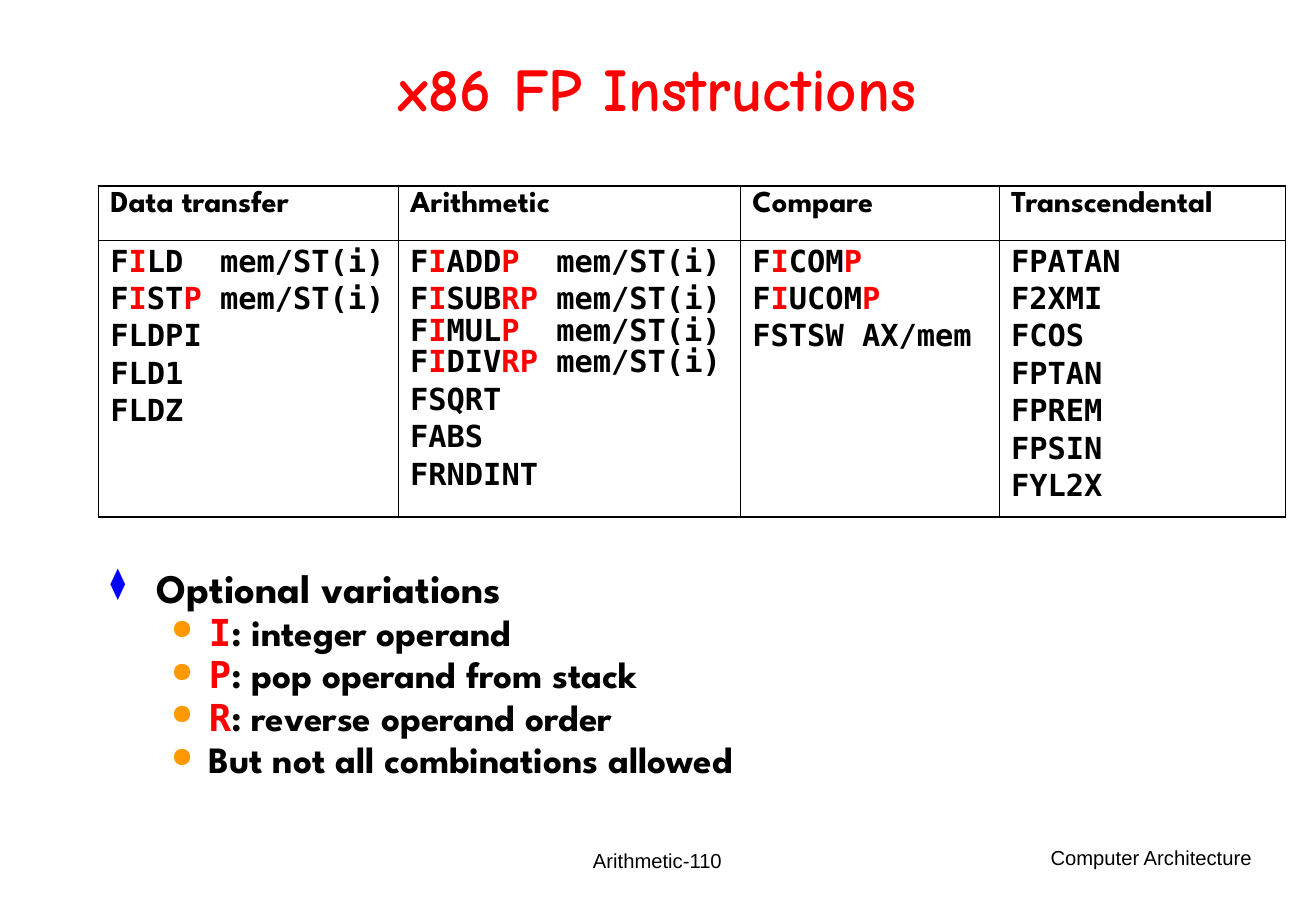
from lxml import etree
from pptx import Presentation
from pptx.dml.color import RGBColor
from pptx.enum.text import MSO_ANCHOR, PP_ALIGN
from pptx.oxml.ns import qn
from pptx.util import Cm, Pt

TOP, MIDDLE = MSO_ANCHOR.TOP, MSO_ANCHOR.MIDDLE
LEFT, CENTER, RIGHT = PP_ALIGN.LEFT, PP_ALIGN.CENTER, PP_ALIGN.RIGHT

BLACK, RED, BLUE, ORANGE = "000000", "FF0000", "0000FF", "FF9900"
SANS, MONO, COMIC, PLAIN = "League Spartan", "DejaVu Sans Mono", "Comic Neue", "Arial"

TITLE = {"name": COMIC, "size": Pt(36), "bold": True}
FOOTER = {"name": PLAIN, "size": Pt(12), "bold": False}
HEADING = {"name": SANS, "size": Pt(18), "bold": True}
CODE = {"name": MONO, "size": Pt(18), "bold": True}
TOPIC = {"name": SANS, "size": Pt(24), "bold": True}
DETAIL = {"name": SANS, "size": Pt(22), "bold": True}
FLAG = {"name": MONO, "size": Pt(22), "bold": True}

COLUMN_WIDTHS = (6.27, 7.16, 5.41, 5.99)
ROW_HEIGHTS = (1.14, 5.77)
OUTER, ROW_RULE, COLUMN_RULE = 1.08, 0.75, 0.45

INSTRUCTIONS = {
    "Data transfer": [
        "F*I*LD  mem/ST(i)", "F*I*ST*P* mem/ST(i)", "FLDPI", "FLD1", "FLDZ",
    ],
    "Arithmetic": [
        "F*I*ADD*P*  mem/ST(i)",
        "F*I*SUB*RP* mem/ST(i)\nF*I*MUL*P*  mem/ST(i)\nF*I*DIV*RP* mem/ST(i)",
        "FSQRT", "FABS", "FRNDINT",
    ],
    "Compare": ["F*I*COM*P*", "F*I*UCOM*P*", "FSTSW AX/mem"],
    "Transcendental": [
        "FPATAN", "F2XMI", "FCOS", "FPTAN", "FPREM", "FPSIN", "FYL2X",
    ],
}
VARIATIONS = [
    "*I*: integer operand",
    "*P*: pop operand from stack",
    "*R*: reverse operand order",
    "But not all combinations allowed",
]


def color(value):
    """Turn a hex string into a colour."""
    return RGBColor.from_string(value)


def apply(target, values):
    """Set each attribute of the target from a dict."""
    for name, value in values.items():
        setattr(target, name, value)


def add_span(para, text, style, fill=BLACK):
    """Add one run in the given style and colour."""
    span = para.add_run()
    span.text = text
    apply(span.font, style)
    span.font.color.rgb = color(fill)


def write_para(para, text, style, marked=None, **layout):
    """Write text whose parts between asterisks are red."""
    apply(para, layout)
    for row, line in enumerate(text.split("\n")):
        if row:
            para.add_line_break()
        for index, part in enumerate(line.split("*")):
            if part and index % 2:
                add_span(para, part, marked or style, RED)
            elif part:
                add_span(para, part, style)


def next_para(frame, index):
    """Return the first paragraph or a new one."""
    return frame.add_paragraph() if index else frame.paragraphs[0]


def add_bullet(para, char, fill, margin, hanging):
    """Give the paragraph a coloured bullet and a hanging indent."""
    props = para._p.get_or_add_pPr()
    props.set("marL", str(Cm(margin)))
    props.set("indent", str(-Cm(hanging)))
    tint = etree.SubElement(props, qn("a:buClr"))
    etree.SubElement(tint, qn("a:srgbClr"), val=fill)
    etree.SubElement(props, qn("a:buSzPct"), val="75000")
    etree.SubElement(props, qn("a:buChar"), char=char)


def add_box(page, left, top, width, height, anchor=TOP):
    """Add a wrapping text box and return its frame."""
    box = page.shapes.add_textbox(Cm(left), Cm(top), Cm(width), Cm(height))
    apply(box.text_frame, {"word_wrap": True, "vertical_anchor": anchor})
    return box.text_frame


def add_borders(cell, widths):
    """Draw the left, right, top and bottom borders of a cell."""
    props = cell._tc.get_or_add_tcPr()
    for index, (side, width) in enumerate(zip("LRTB", widths)):
        line = etree.Element(qn(f"a:ln{side}"), w=str(Pt(width)))
        paint = etree.SubElement(line, qn("a:solidFill"))
        etree.SubElement(paint, qn("a:srgbClr"), val=BLACK)
        props.insert(index, line)


def fill_cell(cell, lines, style):
    """Write the lines of a cell without a background."""
    cell.fill.background()
    apply(cell, {"margin_left": Cm(0.25), "margin_right": Cm(0.25),
                 "margin_top": Cm(0.13), "margin_bottom": Cm(0.13)})
    for index, text in enumerate(lines):
        write_para(next_para(cell.text_frame, index), text, style,
                   line_spacing=0.9, space_before=Pt(3.4 if index else 0))


def add_instruction_table(page):
    """Add the table of instruction groups."""
    rows, columns = len(ROW_HEIGHTS), len(COLUMN_WIDTHS)
    table = page.shapes.add_table(
        rows, columns, Cm(2.06), Cm(3.89),
        Cm(sum(COLUMN_WIDTHS)), Cm(sum(ROW_HEIGHTS))).table
    apply(table, {"first_row": False, "horz_banding": False})
    for row, height in zip(table.rows, ROW_HEIGHTS):
        row.height = Cm(height)
    for index, (heading, codes) in enumerate(INSTRUCTIONS.items()):
        table.columns[index].width = Cm(COLUMN_WIDTHS[index])
        left = COLUMN_RULE if index else OUTER
        right = COLUMN_RULE if index < columns - 1 else OUTER
        fill_cell(table.cell(0, index), [heading], HEADING)
        fill_cell(table.cell(1, index), codes, CODE)
        add_borders(table.cell(0, index), (left, right, OUTER, ROW_RULE))
        add_borders(table.cell(1, index), (left, right, ROW_RULE, OUTER))


def add_variations(page):
    """Add the bulleted list of optional variations."""
    frame = add_box(page, 2.06, 11.84, 23.39, 5.69)
    para = next_para(frame, 0)
    add_bullet(para, "⧫", BLUE, 0.97, 0.97)
    write_para(para, "Optional variations", TOPIC, line_spacing=0.8)
    for text in VARIATIONS:
        para = frame.add_paragraph()
        add_bullet(para, "●", ORANGE, 2.06, 0.79)
        write_para(para, text, DETAIL, FLAG, level=1,
                   line_spacing=0.8, space_before=Pt(4.1))


def main():
    """Build the slide and save it."""
    deck = Presentation()
    apply(deck, {"slide_width": Cm(27.53), "slide_height": Cm(19.05)})
    page = deck.slides.add_slide(deck.slide_layouts[6])
    course = add_box(page, 20.62, 17.55, 5.82, 1.27)
    write_para(course.paragraphs[0], "Computer Architecture", FOOTER, alignment=RIGHT)
    number = add_box(page, 9.4, 17.35, 8.71, 1.27, MIDDLE)
    write_para(number.paragraphs[0], "Arithmetic-110", FOOTER, alignment=CENTER)
    title = add_box(page, 2.06, 0.69, 23.39, 2.51, MIDDLE)
    write_para(title.paragraphs[0], "*x86 FP Instructions*", TITLE,
               alignment=CENTER, line_spacing=0.85)
    add_variations(page)
    add_instruction_table(page)
    deck.save("out.pptx")


if __name__ == "__main__":
    main()
